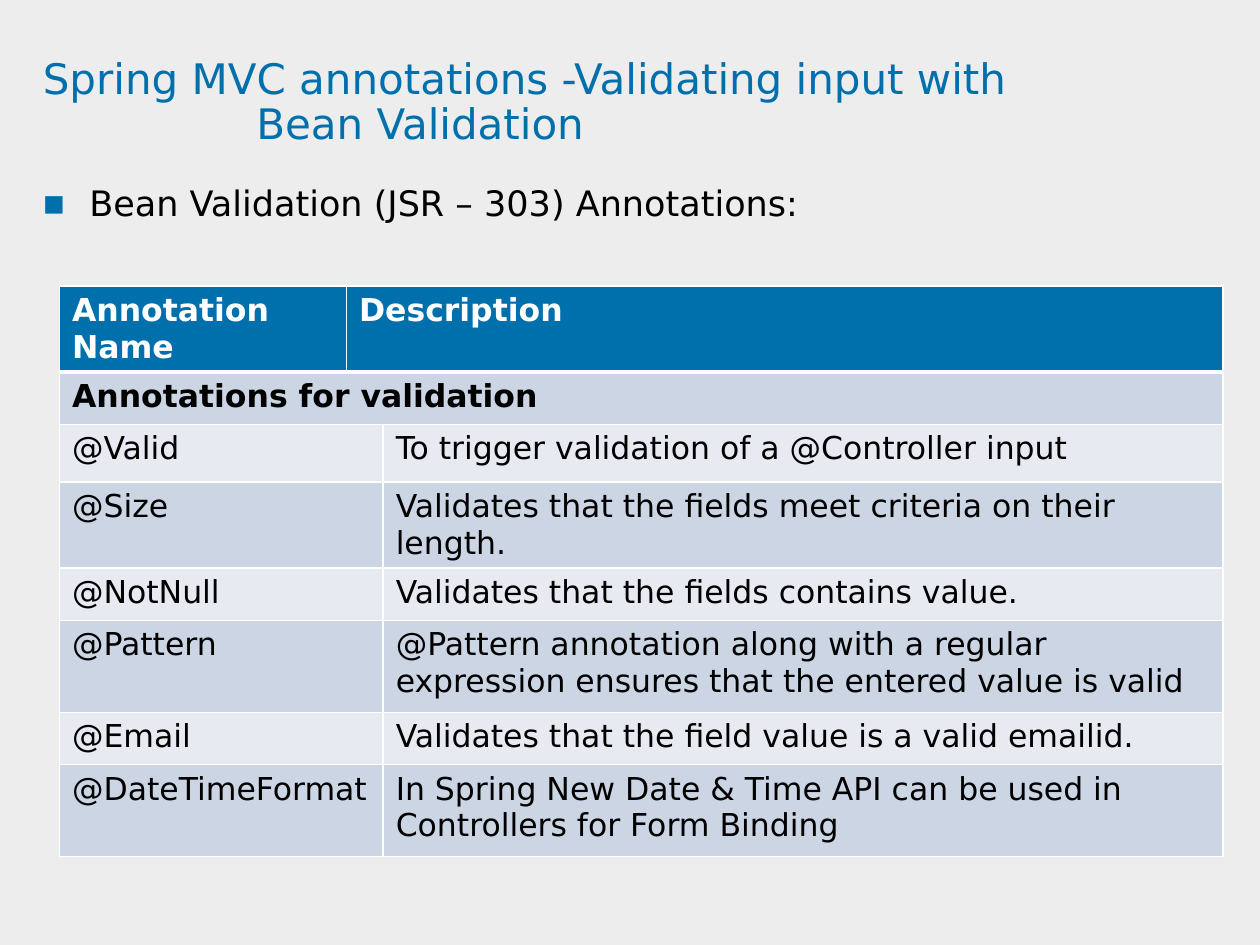
from lxml import etree
from pptx import Presentation
from pptx.dml.color import RGBColor
from pptx.enum.text import MSO_ANCHOR, MSO_AUTO_SIZE, PP_ALIGN
from pptx.oxml.ns import qn
from pptx.util import Pt

TOP = MSO_ANCHOR.TOP
NO_FIT = MSO_AUTO_SIZE.NONE
LEFT = PP_ALIGN.LEFT

BLUE, WHITE, BLACK, GREY = "0070AD", "FFFFFF", "000000", "EDEDED"
BANDS = ("CCD5E3", "E7EBF1")
COLUMNS = (164, 21, 480)
ROW_HEIGHTS = (42.5, 30, 33, 30, 30, 52.5, 30, 52.5)
HEADER = ("Annotation Name", "Description")
SECTION = "Annotations for validation"
ANNOTATIONS = (
    ("@Valid", "To trigger validation of a @Controller input"),
    ("@Size", "Validates that the fields meet criteria on their length."),
    ("@NotNull", "Validates that the fields contains value."),
    ("@Pattern", "@Pattern annotation along with a regular expression "
                 "ensures that the entered value is valid"),
    ("@Email", "Validates that the field value is a valid emailid."),
    ("@DateTimeFormat", "In Spring New Date & Time API can be used in "
                        "Controllers for Form Binding"),
)


def rgb(value):
    """Turn a hex string into a colour."""
    return RGBColor.from_string(value)


def write(p, text, size=18, color=BLACK, bold=False, font="DejaVu Sans"):
    """Add one formatted run to a paragraph."""
    r = p.add_run()
    r.text = text
    r.font.name, r.font.size, r.font.bold = font, Pt(size), bold
    r.font.color.rgb = rgb(color)


def indent(p, left, first=0):
    """Set the left margin and first-line indent of a paragraph."""
    pPr = p._p.get_or_add_pPr()
    pPr.set("marL", str(Pt(left)))
    pPr.set("indent", str(Pt(first)))
    return pPr


def border(cell, **widths):
    """Draw white lines of the given widths on the sides of a cell."""
    tcPr = cell._tc.get_or_add_tcPr()
    for side in "LRTB":
        ln = etree.SubElement(tcPr, qn(f"a:ln{side}"), w=str(Pt(widths.get(side, 1))))
        fill = etree.SubElement(ln, qn("a:solidFill"))
        etree.SubElement(fill, qn("a:srgbClr"), val=WHITE)


class AnnotationSlide:
    """Hold the slide and its style."""

    def __init__(self, prs):
        """Add a grey title-and-content slide."""
        self.s = prs.slides.add_slide(prs.slide_layouts[1])
        self.s.background.fill.solid()
        self.s.background.fill.fore_color.rgb = rgb(GREY)

    def place(self, sp, left, top, width, height):
        """Move a placeholder and clear its margins."""
        sp.left, sp.top, sp.width, sp.height = map(Pt, (left, top, width, height))
        tf = sp.text_frame
        tf.word_wrap, tf.auto_size, tf.vertical_anchor = True, NO_FIT, TOP
        tf.margin_left = tf.margin_right = tf.margin_top = tf.margin_bottom = 0
        return tf

    def title(self, *lines):
        """Write the title, each line as (text, left margin)."""
        tf = self.place(self.s.shapes.title, 24.5, 33, 654.5, 59)
        for i, (text, left) in enumerate(lines):
            p = tf.add_paragraph() if i else tf.paragraphs[0]
            indent(p, left)
            p.alignment, p.line_spacing = LEFT, 0.9
            p.space_before = Pt(0)
            write(p, text, size=24, color=BLUE)

    def bullet(self, text):
        """Write the single bullet of the body."""
        p = self.place(self.s.placeholders[1], 24, 111.5, 696, 78).paragraphs[0]
        pPr = indent(p, 27, -27)
        clr = etree.SubElement(pPr, qn("a:buClr"))
        etree.SubElement(clr, qn("a:srgbClr"), val=BLUE)
        etree.SubElement(pPr, qn("a:buFont"), typeface="DejaVu Sans")
        etree.SubElement(pPr, qn("a:buChar"), char="▪")
        p.line_spacing, p.space_before, p.space_after = Pt(16.5), Pt(0), Pt(4.5)
        write(p, text, size=20)

    def table(self, left, top):
        """Build the table of a header, a section row and the annotations."""
        tbl = self.s.shapes.add_table(
            len(ROW_HEIGHTS), len(COLUMNS), Pt(left), Pt(top),
            Pt(sum(COLUMNS)), Pt(sum(ROW_HEIGHTS))).table
        for column, width in zip(tbl.columns, COLUMNS):
            column.width = Pt(width)
        for i, height in enumerate(ROW_HEIGHTS):
            tbl.rows[i].height = Pt(height)
            for j in range(len(COLUMNS)):
                cell = tbl.cell(i, j)
                border(cell, B=1 if i else 3, T=3 if i == 1 else 1)
                cell.fill.solid()
                cell.fill.fore_color.rgb = rgb(BANDS[(i - 1) % 2] if i else BLUE)
        self.row(tbl, 0, HEADER, (0, 1), merge=(1, 2), color=WHITE, bold=True)
        self.row(tbl, 1, (SECTION,), (0,), merge=(0, 2), bold=True)
        for i, texts in enumerate(ANNOTATIONS, 2):
            self.row(tbl, i, texts, (0, 2), merge=(0, 1))

    def row(self, tbl, i, texts, starts, merge, **style):
        """Merge a span of one row and fill its cells."""
        first, last = merge
        tbl.cell(i, first).merge(tbl.cell(i, last))
        for j, text in zip(starts, texts):
            write(tbl.cell(i, j).text_frame.paragraphs[0], text, **style)


def main():
    """Build and save the slide."""
    prs = Presentation()
    prs.slide_width, prs.slide_height = Pt(720), Pt(540)
    page = AnnotationSlide(prs)
    page.title(("Spring MVC annotations -Validating input with", 0),
               ("Bean Validation", 122))
    page.bullet("Bean Validation (JSR – 303) Annotations:")
    page.table(34, 163.5)
    prs.save("out.pptx")


if __name__ == "__main__":
    main()
